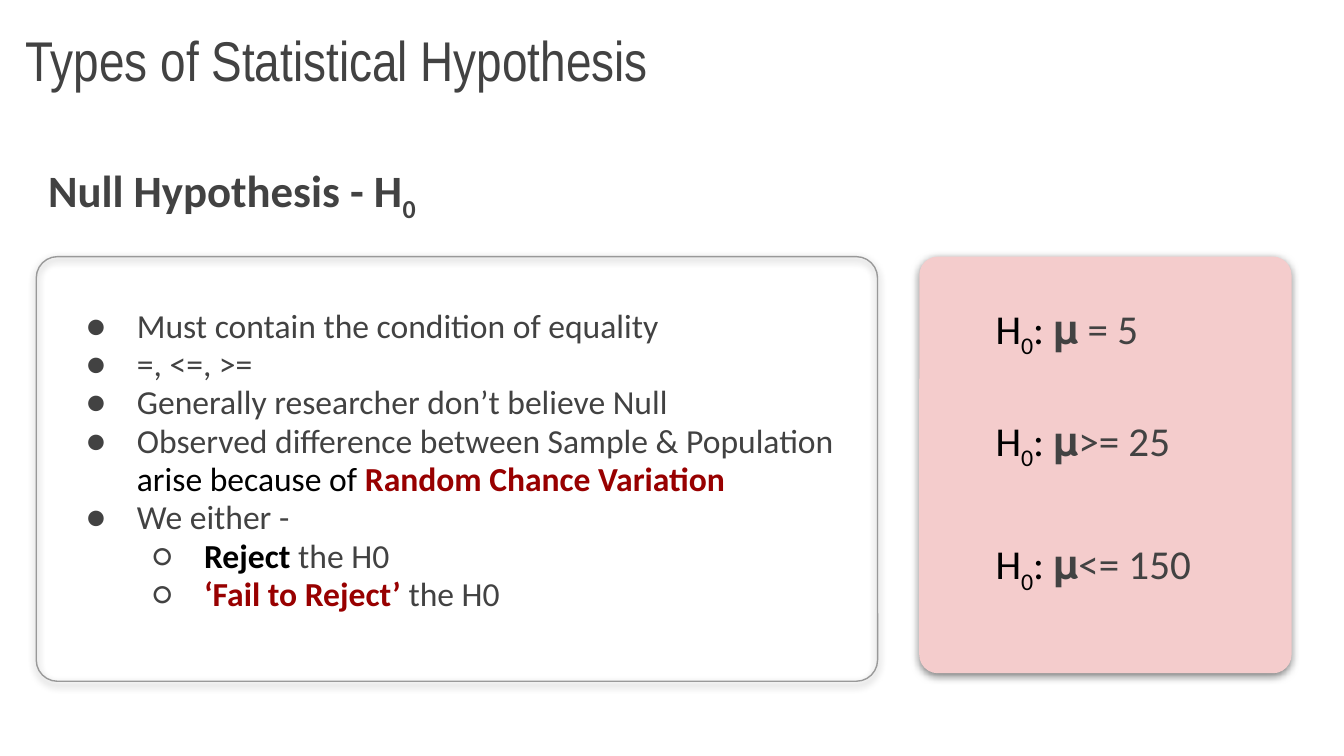
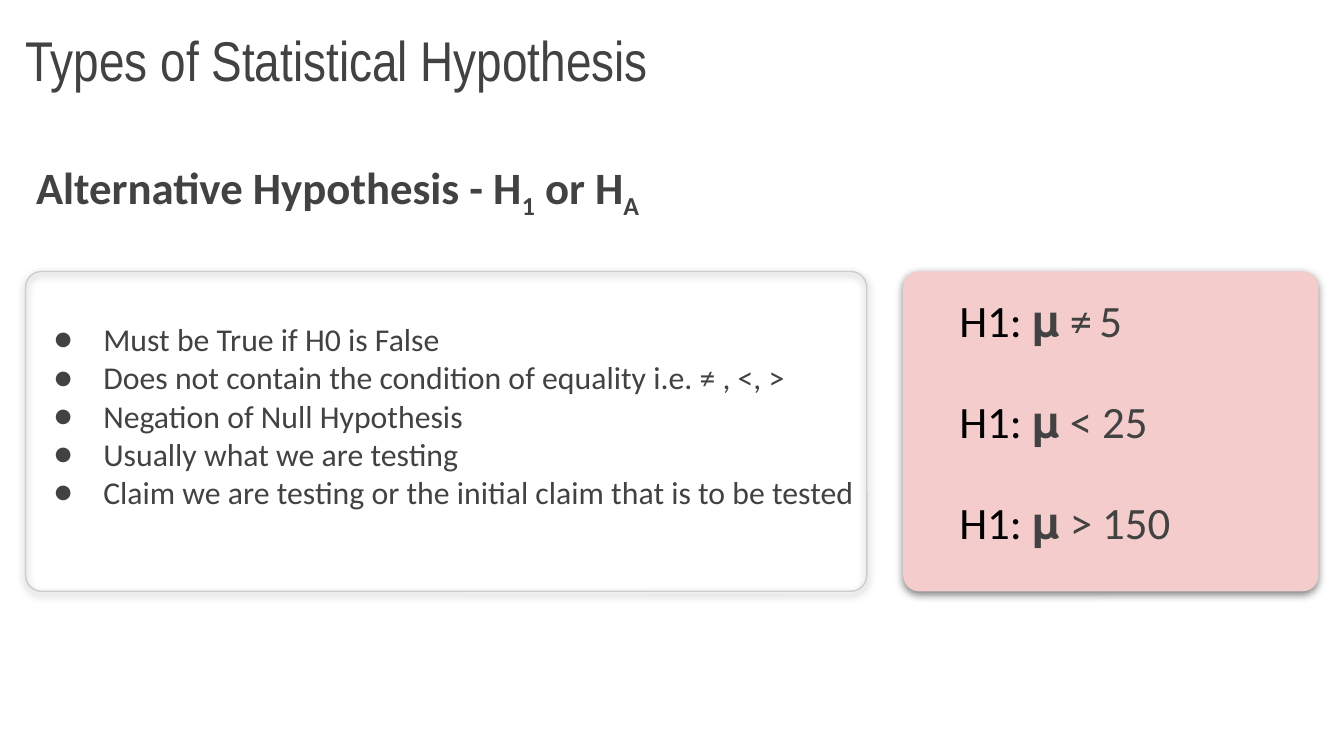
from dataclasses import dataclass
from lxml.etree import SubElement
from pptx import Presentation
from pptx.dml.color import RGBColor
from pptx.enum.shapes import MSO_SHAPE
from pptx.enum.text import MSO_ANCHOR, MSO_AUTO_SIZE
from pptx.oxml.ns import qn
from pptx.util import Inches, Pt


@dataclass(frozen=True)
class Theme:
    ink: str = "424242"
    black: str = "000000"
    red: str = "980000"
    pink: str = "F4CCCC"
    white: str = "FFFFFF"
    head: str = "Arial Narrow"
    body: str = "Calibri"
    title: int = 30
    lead: int = 24
    rule: int = 22
    text: int = 18
    small: int = 17


T = Theme()
TITLE = "Types of Statistical Hypothesis"
DARK = {"color": T.black}
BOLD = {"color": T.black, "bold": True}
RED = {"color": T.red, "bold": True}
SUB = {"base": -25}
DARKSUB = DARK | SUB
THIN = {"size": T.small}


def rgb(code):
    return RGBColor.from_string(code)


def add_box(slide, box, fill=None):
    shape = slide.shapes.add_textbox(*map(Inches, box))
    if fill:
        shape.fill.solid()
        shape.fill.fore_color.rgb = rgb(fill)
    frame = shape.text_frame
    frame.word_wrap = True
    frame.margin_left = frame.margin_right = Inches(0.1)
    frame.margin_top = frame.margin_bottom = Inches(0.1)
    return frame


def add_run(par, text, color=None, bold=None, size=None, base=None):
    run = par.add_run()
    run.text = text
    if color:
        run.font.color.rgb = rgb(color)
    if bold:
        run.font.bold = True
    if size:
        run.font.size = Pt(size)
    if base:
        run._r.get_or_add_rPr().set("baseline", str(base * 1000))


def write(par, parts, size, name=T.body, bold=False):
    font = par.font
    font.name, font.size, font.bold = name, Pt(size), bold
    font.color.rgb = rgb(T.ink)
    for part in parts:
        text, style = (part, {}) if isinstance(part, str) else part
        add_run(par, text, **style)


def add_mark(par, level, hang):
    par.level = level
    props = par._p.get_or_add_pPr()
    props.set("marL", str(Inches(0.5 * (level + 1))))
    props.set("indent", str(-Inches(hang)))
    tint = SubElement(props, qn("a:buClr"))
    SubElement(tint, qn("a:srgbClr"), val=T.ink)
    SubElement(props, qn("a:buFont"), typeface=T.body)
    SubElement(props, qn("a:buChar"), char="●○"[level])


def add_card(slide, box, fill=None, line=None):
    card = slide.shapes.add_shape(MSO_SHAPE.ROUNDED_RECTANGLE, *map(Inches, box))
    card.adjustments[0] = 0.05
    if fill:
        card.fill.solid()
        card.fill.fore_color.rgb = rgb(fill)
    else:
        card.fill.background()
    if line:
        card.line.color.rgb = rgb(line)
        card.line.width = Pt(0.75)
    else:
        card.line.fill.background()
    card.shadow.inherit = False
    effect = card._element.spPr.find(qn("a:effectLst"))
    cast = SubElement(effect, qn("a:outerShdw"), blurRad=str(Pt(4.5)),
                      dist=str(Pt(1.5)), dir="5400000", algn="bl", rotWithShape="0")
    tint = SubElement(cast, qn("a:srgbClr"), val=T.black)
    SubElement(tint, qn("a:alpha"), val="50000")


def add_title(slide, box):
    frame = add_box(slide, box)
    frame.vertical_anchor = MSO_ANCHOR.BOTTOM
    write(frame.paragraphs[0], [TITLE], T.title, T.head)


def add_lead(slide, box, parts, space):
    par = add_box(slide, box, T.white).paragraphs[0]
    par.line_spacing, par.space_after = space, Pt(12)
    write(par, parts, T.lead, bold=True)


def add_points(slide, box, items, size, hang, first, rest):
    frame = add_box(slide, box)
    for i, (level, *parts) in enumerate(items):
        par = frame.add_paragraph() if i else frame.paragraphs[0]
        par.line_spacing = rest if i else first
        add_mark(par, level, hang)
        write(par, parts, size)


def add_rules(slide, box, left, tops, rules, size, tall):
    for top, parts in zip(tops, rules):
        frame = add_box(slide, (box[0] + left, box[1] + top, 2.4, tall))
        frame.auto_size = MSO_AUTO_SIZE.SHAPE_TO_FIT_TEXT
        write(frame.paragraphs[0], parts, size)


def add_page(deck, pink, card, edge, lead, points, rules):
    slide = deck.slides.add_slide(deck.slide_layouts[6])
    add_card(slide, pink, fill=T.pink)
    add_card(slide, card, line=edge)
    add_title(slide, (0.09, -0.01, 9.32, 0.8))
    add_lead(slide, **lead)
    add_points(slide, **points)
    add_rules(slide, pink, **rules)


def add_null(deck):
    signs = ["𝛍 = 5", "𝛍>= 25", "𝛍<= 150"]
    items = [
        (0, "Must contain the condition of equality"),
        (0, "=, <=, >="),
        (0, "Generally researcher don’t believe Null"),
        (0, "Observed difference between Sample & Population ",
         ("arise because of ", DARK), ("Random Chance Variation", RED)),
        (0, "We either -"),
        (1, ("Reject", BOLD), " the H0"),
        (1, ("‘Fail to Reject’", RED), " the H0"),
    ]
    add_page(
        deck, (6.84, 1.91, 2.77, 3.1), (0.27, 1.91, 6.26, 3.16), "999999",
        dict(box=(0.26, 1.11, 4.23, 0.52), space=0.95,
             parts=["Null Hypothesis - H", ("0", SUB)]),
        dict(box=(0.42, 2.19, 5.98, 2.53), items=items, size=T.text, hang=0.38,
             first=0.95, rest=0.95),
        dict(left=0.47, tops=(0.25, 1.08, 2), size=T.rule, tall=0.57,
             rules=[[("H", DARK), ("0", DARKSUB), (": ", DARK), sign] for sign in signs]),
    )


def add_other(deck):
    signs = [["𝛍 ≠", (" ", THIN), "5"], ["𝛍 < 25"], ["𝛍 > 150"]]
    items = [
        (0, "Must be True if H0 is False"),
        (0, "Does not contain the condition of equality i.e. ≠ , <, >"),
        (0, "Negation of Null Hypothesis"),
        (0, "Usually what we are testing"),
        (0, "Claim we are testing or the initial claim that is to be tested"),
    ]
    add_page(
        deck, (6.72, 2.02, 3.09, 2.38), (0.19, 2.02, 6.26, 2.38), "CCCCCC",
        dict(box=(0.17, 1.02, 7.33, 0.64), space=1.15,
             parts=["Alternative Hypothesis - H", ("1", SUB), " or H", ("A", SUB)]),
        dict(box=(0.17, 2.24, 6.29, 1.9), items=items, size=T.small, hang=0.37,
             first=1.15, rest=1.0),
        dict(left=0.32, tops=[0.06 + 0.75 * i for i in range(3)], size=T.lead,
             tall=0.61, rules=[[("H1: ", DARK), *sign] for sign in signs]),
    )


def main():
    deck = Presentation()
    deck.slide_width, deck.slide_height = Inches(10), Inches(10 * 9 / 16)
    add_null(deck)
    add_other(deck)
    deck.save("out.pptx")


if __name__ == "__main__":
    main()
